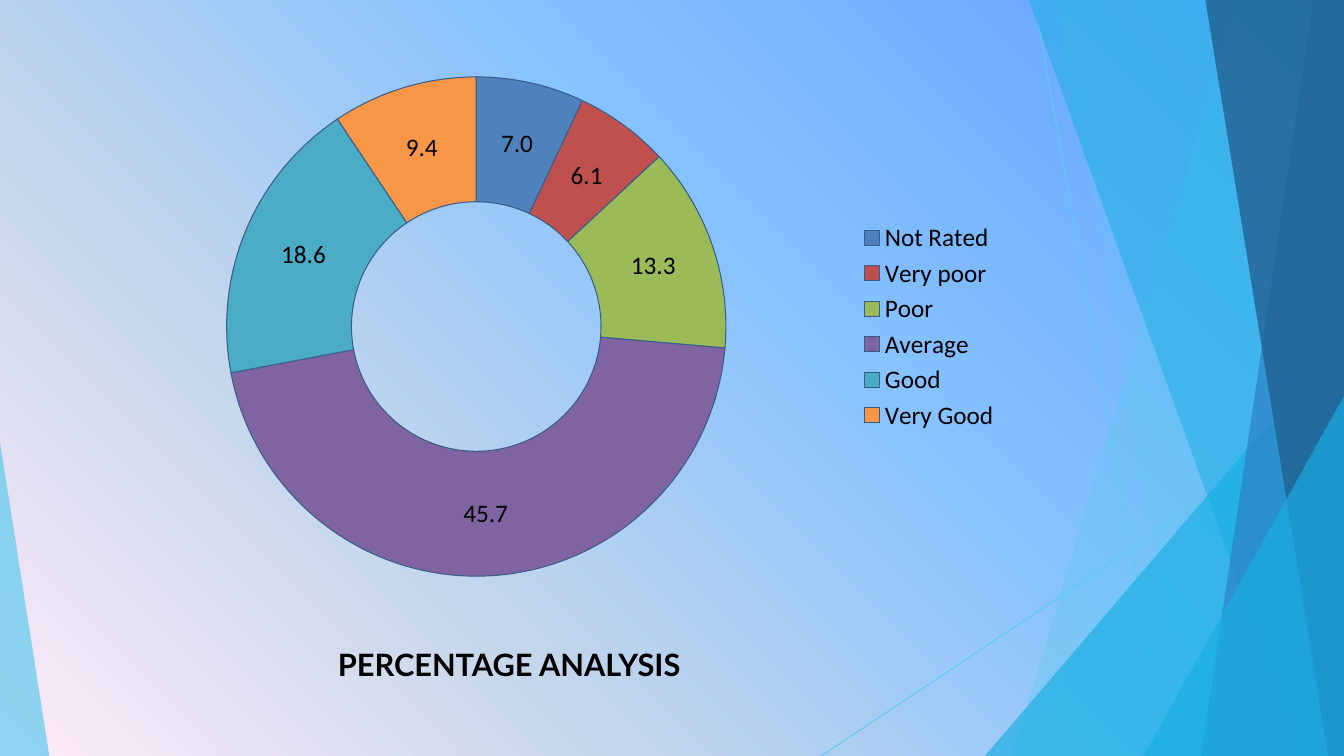
from lxml import etree
from pptx import Presentation
from pptx.chart.data import CategoryChartData
from pptx.dml.color import RGBColor
from pptx.enum.chart import XL_CHART_TYPE as ChartType, XL_LEGEND_POSITION as LegendPosition
from pptx.enum.shapes import MSO_CONNECTOR as Connector
from pptx.enum.text import MSO_ANCHOR as Anchor, PP_ALIGN as Align
from pptx.oxml.ns import qn
from pptx.util import Pt

PX = 9525  # EMU per px, 96 px to the inch
WIDTH, HEIGHT = 1280, 720

COLORS = {
    "text": "000000", "outline": "385D8A",
    "sky": "5FCAEE", "cyan": "17AFE3", "blue": "2D83C3", "navy": "226192",
}
BACKGROUND_STOPS = [(0, "5E9EFF"), (40, "85C2FF"), (70, "C4D6EB"), (100, "FFEBFA")]

RAYS = [(985, 1, 1113, 720), (1280, 388, 782, 720)]

# Facets on the right edge: top x, top y, bottom x, colour, opacity in percent
RIGHT_FACETS = [
    (1179, 0, 964, "sky", 36),
    (1008, 0, 1135, "sky", 20),
    (1280, 320, 938, "cyan", 66),
    (980, 0, 1239, "cyan", 50),
    (1251, 0, 1144, "blue", 70),
    (1148, 0, 1265, "navy", 80),
    (1280, 377, 1089, "cyan", 66),
]
LEFT_FACET = [(0, 421), (0, HEIGHT), (47, HEIGHT)]

# Category, percentage, slice colour
RATINGS = [
    ("Not Rated", 7.0, "4F81BD"),
    ("Very poor", 6.1, "C0504D"),
    ("Poor", 13.3, "9BBB59"),
    ("Average", 45.7, "8064A2"),
    ("Good", 18.6, "4BACC6"),
    ("Very Good", 9.4, "F79646"),
]


def rgb(name):
    return RGBColor.from_string(COLORS.get(name, name))


def px(*lengths):
    return [length * PX for length in lengths]


def paint_background(page):
    fill = page.background.fill
    fill.gradient()
    fill.gradient_angle = 225
    stops = page.element.find(".//" + qn("a:gsLst"))
    for stop in list(stops):
        stops.remove(stop)
    for position, color in BACKGROUND_STOPS:
        stop = etree.SubElement(stops, qn("a:gs"), pos=str(position * 1000))
        etree.SubElement(stop, qn("a:srgbClr"), val=color)


def add_ray(page, ends):
    ray = page.shapes.add_connector(Connector.STRAIGHT, *px(*ends))
    ray.line.color.rgb = rgb("sky")
    ray.line.width = Pt(0.75)
    etree.SubElement(ray.element.spPr, qn("a:effectLst"))


def add_facet(page, points, color, opacity):
    builder = page.shapes.build_freeform(*points[0], scale=PX)
    builder.add_line_segments(points[1:], close=True)
    facet = builder.convert_to_shape()
    facet.shadow.inherit = False
    facet.line.fill.background()
    facet.fill.solid()
    facet.fill.fore_color.rgb = rgb(color)
    tint = facet.element.spPr.find(qn("a:solidFill"))[0]
    etree.SubElement(tint, qn("a:alpha"), val=str(opacity * 1000))


def set_title(page, text):
    title = page.shapes.title
    title.left, title.top, title.width, title.height = px(310, 615, 350, 71)
    frame = title.text_frame
    frame.margin_left = frame.margin_right = frame.margin_top = frame.margin_bottom = 0
    frame.vertical_anchor = Anchor.TOP
    frame.word_wrap = True
    para = frame.paragraphs[0]
    para.alignment = Align.CENTER
    span = para.add_run()
    span.text = text
    span.font.name = "Lato"
    span.font.size = Pt(22)
    span.font.bold = True
    span.font.color.rgb = rgb("text")


def add_rating_chart(page):
    data = CategoryChartData(number_format="0.0")
    data.categories = [name for name, _, _ in RATINGS]
    data.add_series("Series 1", [value for _, value, _ in RATINGS])
    chart = page.shapes.add_chart(ChartType.DOUGHNUT, *px(92, 60, 870, 502), data).chart
    chart.has_title = False
    chart.font.name = "Calibri"
    chart.font.size = Pt(18)
    chart.font.color.rgb = rgb("text")

    # Legend
    chart.has_legend = True
    chart.legend.position = LegendPosition.RIGHT
    chart.legend.include_in_layout = False

    # Slices and their labels
    plot = chart.plots[0]
    plot.vary_by_categories = True
    plot.has_data_labels = True
    labels = plot.data_labels
    labels.show_value = True
    labels.show_percentage = False
    labels.number_format = "0.0"
    labels.number_format_is_linked = False
    for index, (_, _, color) in enumerate(RATINGS):
        slice_format = plot.series[0].points[index].format
        slice_format.fill.solid()
        slice_format.fill.fore_color.rgb = rgb(color)
        slice_format.line.color.rgb = rgb("outline")
        slice_format.line.width = Pt(0.75)


def main():
    deck = Presentation()
    deck.slide_width, deck.slide_height = px(WIDTH, HEIGHT)
    page = deck.slides.add_slide(deck.slide_layouts[5])

    # Backdrop
    paint_background(page)
    for ends in RAYS:
        add_ray(page, ends)
    for top_x, top_y, bottom_x, color, opacity in RIGHT_FACETS:
        points = [(WIDTH, top_y), (top_x, top_y), (bottom_x, HEIGHT), (WIDTH, HEIGHT)]
        add_facet(page, points, color, opacity)
    add_facet(page, LEFT_FACET, "sky", 70)

    # Content
    set_title(page, "PERCENTAGE ANALYSIS")
    add_rating_chart(page)
    deck.save("out.pptx")


if __name__ == "__main__":
    main()
